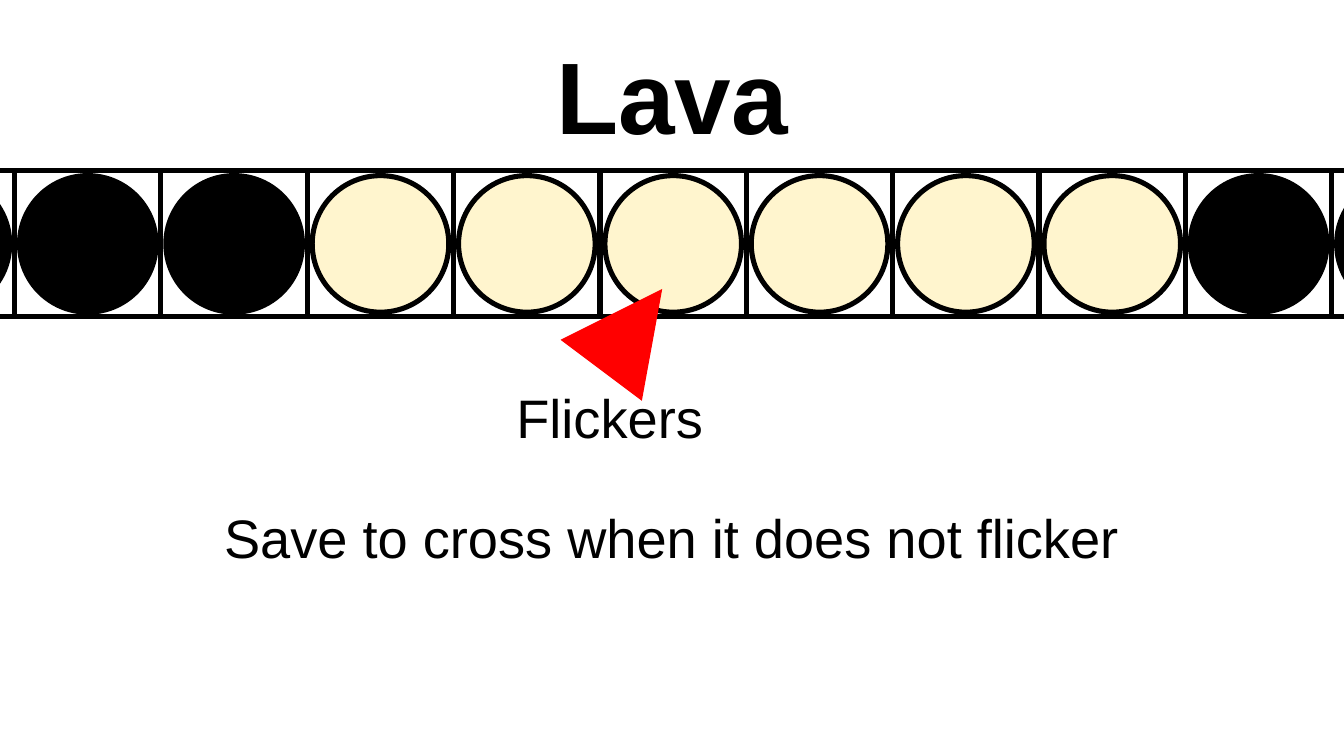
from dataclasses import dataclass

from lxml.etree import SubElement
from pptx import Presentation
from pptx.dml.color import RGBColor
from pptx.enum.shapes import MSO_CONNECTOR, MSO_SHAPE
from pptx.enum.text import MSO_ANCHOR, MSO_AUTO_SIZE, PP_ALIGN
from pptx.oxml.ns import qn
from pptx.util import Emu, Pt

EMU_PER_PX = 9144
BLACK, WHITE, CREAM, RED = "000000", "FFFFFF", "FFF5CE", "FF0000"
CELL_SIZE, LIGHT_INSET = 120, 4
STRIP_LEFT, STRIP_TOP = -108, 140
LIGHT_COLOURS = [BLACK] * 3 + [CREAM] * 6 + [BLACK] * 2


@dataclass
class Box:
    left: int
    top: int
    width: int
    height: int

    def emu(self) -> tuple[Emu, ...]:
        return tuple(px(n) for n in (self.left, self.top, self.width, self.height))


@dataclass
class Label:
    text: str
    box: Box
    size: int
    bold: bool = False
    anchor: MSO_ANCHOR = MSO_ANCHOR.MIDDLE
    margin_x: int = 0
    margin_y: int = 0


TITLE = Label("Lava", Box(55, 25, 992, 104), 60, bold=True)
ADVICE = Label("Save to cross when it does not flicker", Box(55, 260, 992, 360), 32)
FLICKERS = Label("Flickers", Box(230, 310, 540, 60), 32,
                 anchor=MSO_ANCHOR.TOP, margin_x=10, margin_y=5)


def px(length: int) -> Emu:
    return Emu(length * EMU_PER_PX)


def colour(value: str) -> RGBColor:
    return RGBColor.from_string(value)


def apply(target, values: dict) -> None:
    for name, value in values.items():
        setattr(target, name, value)


def write_label(shape, label: Label) -> None:
    apply(shape, dict(zip(("left", "top", "width", "height"), label.box.emu())))
    frame = shape.text_frame
    frame.text = label.text
    apply(frame, {
        "word_wrap": True,
        "auto_size": MSO_AUTO_SIZE.NONE,
        "vertical_anchor": label.anchor,
        "margin_left": px(label.margin_x),
        "margin_right": px(label.margin_x),
        "margin_top": px(label.margin_y),
        "margin_bottom": px(label.margin_y),
    })
    paragraph = frame.paragraphs[0]
    paragraph.alignment = PP_ALIGN.CENTER
    font = paragraph.runs[0].font
    apply(font, {"name": "Arial", "size": Pt(label.size), "bold": label.bold})
    font.color.rgb = colour(BLACK)


def add_outlined(slide, kind: MSO_SHAPE, box: Box, fill: str) -> None:
    shape = slide.shapes.add_shape(kind, *box.emu())
    shape.shadow.inherit = False
    shape.fill.solid()
    shape.fill.fore_color.rgb = colour(fill)
    shape.line.color.rgb = colour(BLACK)
    shape.line.width = Pt(3)


def add_light_strip(slide) -> None:
    light_size = CELL_SIZE - 2 * LIGHT_INSET
    for index, light in enumerate(LIGHT_COLOURS):
        left = STRIP_LEFT + index * CELL_SIZE
        add_outlined(slide, MSO_SHAPE.RECTANGLE,
                     Box(left, STRIP_TOP, CELL_SIZE, CELL_SIZE), WHITE)
        add_outlined(slide, MSO_SHAPE.OVAL,
                     Box(left + LIGHT_INSET, STRIP_TOP + LIGHT_INSET, light_size, light_size),
                     light)


def add_arrow(slide, start: tuple[int, int], end: tuple[int, int]) -> None:
    points = [px(value) for value in start + end]
    arrow = slide.shapes.add_connector(MSO_CONNECTOR.STRAIGHT, *points)
    arrow.line.color.rgb = colour(RED)
    arrow.line.width = Pt(20)
    properties = arrow._element.spPr
    SubElement(properties.find(qn("a:ln")), qn("a:tailEnd"), type="triangle")
    SubElement(properties, qn("a:effectLst"))


def main() -> None:
    presentation = Presentation()
    apply(presentation, {"slide_width": px(1102), "slide_height": px(620)})
    slide = presentation.slides.add_slide(presentation.slide_layouts[5])
    write_label(slide.shapes.title, TITLE)
    write_label(slide.shapes.add_textbox(*ADVICE.box.emu()), ADVICE)
    add_light_strip(slide)
    add_arrow(slide, (498, 297), (543, 237))
    write_label(slide.shapes.add_textbox(*FLICKERS.box.emu()), FLICKERS)
    presentation.save("out.pptx")


if __name__ == "__main__":
    main()
